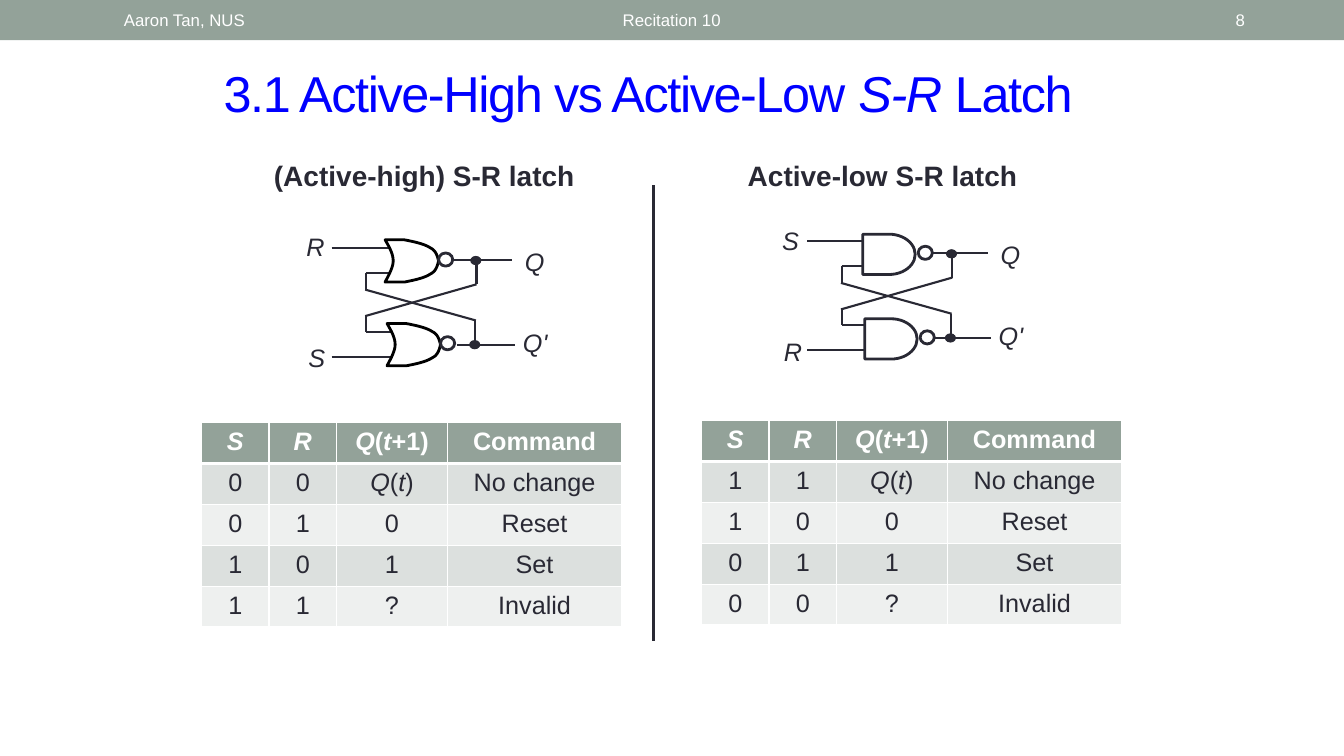
import dataclasses

import pptx
import pptx.dml.color
import pptx.enum.shapes
import pptx.enum.text
import pptx.oxml
import pptx.oxml.ns
import pptx.util
from lxml import etree

Pt = pptx.util.Pt
ALIGN = pptx.enum.text.PP_ALIGN
ANCHOR = pptx.enum.text.MSO_ANCHOR
SHAPE = pptx.enum.shapes.MSO_SHAPE


@dataclasses.dataclass(frozen=True)
class Theme:
    font: str = "Arial"
    ink: str = "292934"
    sage: str = "93A299"
    white: str = "FFFFFF"
    black: str = "000000"
    blue: str = "0000FF"
    bands: tuple = ("DCE0DE", "EEF0EF")
    title: int = 36
    heading: int = 20
    body: int = 18
    footer: int = 12


def color(value):
    return pptx.dml.color.RGBColor.from_string(value)


def apply_format(target, values):
    for name, value in values.items():
        setattr(target, name, value)


def bezier(points, steps=10):
    (ax, ay), (bx, by), (cx, cy), (dx, dy) = points
    curve = []
    for step in range(1, steps + 1):
        t = step / steps
        u = 1 - t
        weights = (u**3, 3 * u * u * t, 3 * u * t * t, t**3)
        curve.append((
            sum(w * v for w, v in zip(weights, (ax, bx, cx, dx))),
            sum(w * v for w, v in zip(weights, (ay, by, cy, dy))),
        ))
    return curve


class Deck:
    def __init__(self, theme):
        self.theme = theme
        self.presentation = pptx.Presentation()
        apply_format(self.presentation, {"slide_width": Pt(960), "slide_height": Pt(540)})
        self.slide = self.presentation.slides.add_slide(self.presentation.slide_layouts[6])
        self.shapes = self.slide.shapes

    def begin_group(self):
        self.shapes = self.slide.shapes.add_group_shape().shapes

    def end_group(self):
        self.shapes = self.slide.shapes

    def paint(self, shape, fill, line, width):
        shape.shadow.inherit = False
        if fill:
            shape.fill.solid()
            shape.fill.fore_color.rgb = color(fill)
        else:
            shape.fill.background()
        if line:
            shape.line.color.rgb = color(line)
            shape.line.width = Pt(width)
        else:
            shape.line.fill.background()

    def shape(self, kind, box, fill=None, line=None, width=2):
        shape = self.shapes.add_shape(kind, *map(Pt, box))
        self.paint(shape, fill, line, width)

    def outline(self, points, line, width=2):
        (x, y), *rest = [(Pt(x), Pt(y)) for x, y in points]
        builder = self.shapes.build_freeform(x, y)
        builder.add_line_segments(rest, close=True)
        self.paint(builder.convert_to_shape(), None, line, width)

    def line(self, ends, width=1.5):
        straight = pptx.enum.shapes.MSO_CONNECTOR.STRAIGHT
        connector = self.shapes.add_connector(straight, *map(Pt, ends))
        connector.line.color.rgb = color(self.theme.ink)
        connector.line.width = Pt(width)
        etree.SubElement(connector._element.spPr, pptx.oxml.ns.qn("a:effectLst"))

    def fill_paragraph(self, paragraph, markup, size, ink, bold=False, align=ALIGN.LEFT, spacing=0):
        paragraph.alignment = align
        for index, piece in enumerate(markup.split("*")):
            if not piece:
                continue
            run = paragraph.add_run()
            run.text = piece
            apply_format(run.font, {"name": self.theme.font, "size": Pt(size),
                                    "bold": bold, "italic": index % 2 == 1})
            run.font.color.rgb = color(ink)
            if spacing:
                run._r.get_or_add_rPr().set("spc", str(spacing))

    def text(self, markup, box, size, ink, anchor=ANCHOR.TOP, **style):
        frame = self.shapes.add_textbox(*map(Pt, box)).text_frame
        apply_format(frame, {"word_wrap": True, "vertical_anchor": anchor})
        self.fill_paragraph(frame.paragraphs[0], markup, size, ink, **style)

    def border(self, cell, widths):
        properties = cell._tc.get_or_add_tcPr()
        for side, width in zip("LRTB", widths):
            properties.append(pptx.oxml.parse_xml(
                f'<a:ln{side} {pptx.oxml.ns.nsdecls("a")} w="{Pt(width)}"><a:solidFill>'
                f'<a:srgbClr val="{self.theme.white}"/></a:solidFill></a:ln{side}>'))

    def table(self, left, top, rows, widths, height):
        theme = self.theme
        box = (left, top, sum(widths), height * len(rows))
        table = self.shapes.add_table(len(rows), len(widths), *map(Pt, box)).table
        for column, width in zip(table.columns, widths):
            column.width = Pt(width)
        for r, values in enumerate(rows):
            table.rows[r].height = Pt(height)
            header = r == 0
            for c, markup in enumerate(values):
                cell = table.cell(r, c)
                self.border(cell, (1, 1, 3 if r == 1 else 1, 3 if header else 1))
                cell.fill.solid()
                cell.fill.fore_color.rgb = color(theme.sage if header else theme.bands[(r - 1) % 2])
                self.fill_paragraph(cell.text_frame.paragraphs[0], markup, theme.body,
                                    theme.white if header else theme.ink,
                                    bold=header, align=ALIGN.CENTER)

    def nor_gate(self, x, y):
        height = 30.2
        top = [(0, 0), (13.7, 0)]
        top += bezier([(13.7, 0), (20.9, 1.4), (28.1, 2.9), (32.4, 5.8)])
        top += bezier([(32.4, 5.8), (36.7, 7.9), (37.4, 12.2), (38.2, 15.1)])
        bottom = [(px, height - py) for px, py in reversed(top[:-1])]
        back = bezier([(0, height), (1.4, 27.4), (5.8, 20.2), (5.8, 15.1)])
        back += bezier([(5.8, 15.1), (5.8, 10), (2.9, 5), (0, 0)])[:-1]
        self.outline([(x + px, y + py) for px, py in top + bottom + back], self.theme.black)
        self.shape(SHAPE.OVAL, (x + 38.2, y + 9.4, 10.1, 9.4), None, self.theme.ink)

    def nand_gate(self, x, y):
        white, ink = self.theme.white, self.theme.ink
        self.shape(SHAPE.OVAL, (x + 39.6, y + 8.6, 10.1, 9.4), white, ink)
        self.shape(SHAPE.FLOWCHART_DELAY, (x, y, 37.4, 28.8), white, ink)

    def latch(self, x, y, inputs, gate, gate_offsets):
        theme = self.theme
        wires = [
            (0, 0, 42.5, 0), (0, 78, 42.5, 78),
            (24.5, 18, 42.5, 18), (24.5, 59.8, 42.5, 59.8),
            (24.5, 18, 24.5, 30), (24.5, 48.5, 24.5, 59.8),
            (86.4, 8.6, 128.9, 8.6), (89.3, 69.1, 131, 69.1),
            (102.5, 51.8, 102.5, 69.1), (103.5, 8.6, 103.5, 26),
            (24, 29.8, 103, 51.8), (103.5, 26, 24, 48.7),
        ]
        labels = zip((*inputs, "Q", "Q'"),
                     ((-25.2, -15.1, 27.4), (-23.8, 64.1, 27.4), (131, -5, 33.1), (129.6, 53.3, 33.1)))
        self.begin_group()
        for x1, y1, x2, y2 in wires:
            self.line((x + x1, y + y1, x + x2, y + y2))
        for dx, dy in ((98.6, 66.2), (99.4, 6.1)):
            self.shape(SHAPE.OVAL, (x + dx, y + dy, 7.2, 5.8), theme.ink, theme.ink, 0.75)
        for name, (dx, dy, width) in labels:
            self.text(f"*{name}*", (x + dx, y + dy, width, 28.8), theme.body, theme.ink)
        for dx, dy in gate_offsets:
            gate(x + dx, y + dy)
        self.end_group()


def main():
    theme = Theme()
    deck = Deck(theme)
    deck.shape(SHAPE.RECTANGLE, (0, 0, 960, 28.8), theme.sage)
    deck.text("3.1 Active-High vs Active-Low *S-R* Latch", (152.6, 41, 675.4, 50.4),
              theme.title, theme.blue, anchor=ANCHOR.MIDDLE, spacing=-100)
    for markup, left, width, align in (
        ("Recitation 10", 217.4, 524.9, ALIGN.CENTER),
        ("Aaron Tan, NUS", 81.4, 228.2, ALIGN.LEFT),
        ("8", 828, 68.4, ALIGN.RIGHT),
    ):
        deck.text(markup, (left, 1.4, width, 25.9), theme.footer, theme.white,
                  anchor=ANCHOR.MIDDLE, align=align)

    deck.line((466.6, 132.5, 466.6, 457.9), 2)
    for markup, left, width in (
        ("(Active-high) S-R latch", 188.6, 235.4),
        ("Active-low S-R latch", 527, 216.7),
    ):
        deck.text(markup, (left, 109.4, width, 31.7), theme.heading, theme.ink, bold=True)
    deck.latch(236.9, 177.1, "RS", deck.nor_gate, ((38.2, -5.8), (39.6, 54)))
    deck.latch(576.7, 172.3, "SR", deck.nand_gate, ((39.6, -5), (41, 55.4)))

    header = ("*S*", "*R*", "*Q*(*t*+1)", "Command")
    outcomes = (("*Q*(*t*)", "No change"), ("0", "Reset"), ("1", "Set"), ("?", "Invalid"))
    for left, top, states in (
        (144, 301.9, ("00", "01", "10", "11")),
        (501.1, 300.5, ("11", "10", "01", "00")),
    ):
        rows = [header] + [(*state, *outcome) for state, outcome in zip(states, outcomes)]
        deck.table(left, top, rows, (48.2, 48.2, 79.2, 124.6), 29.2)
    deck.presentation.save("out.pptx")


if __name__ == "__main__":
    main()
